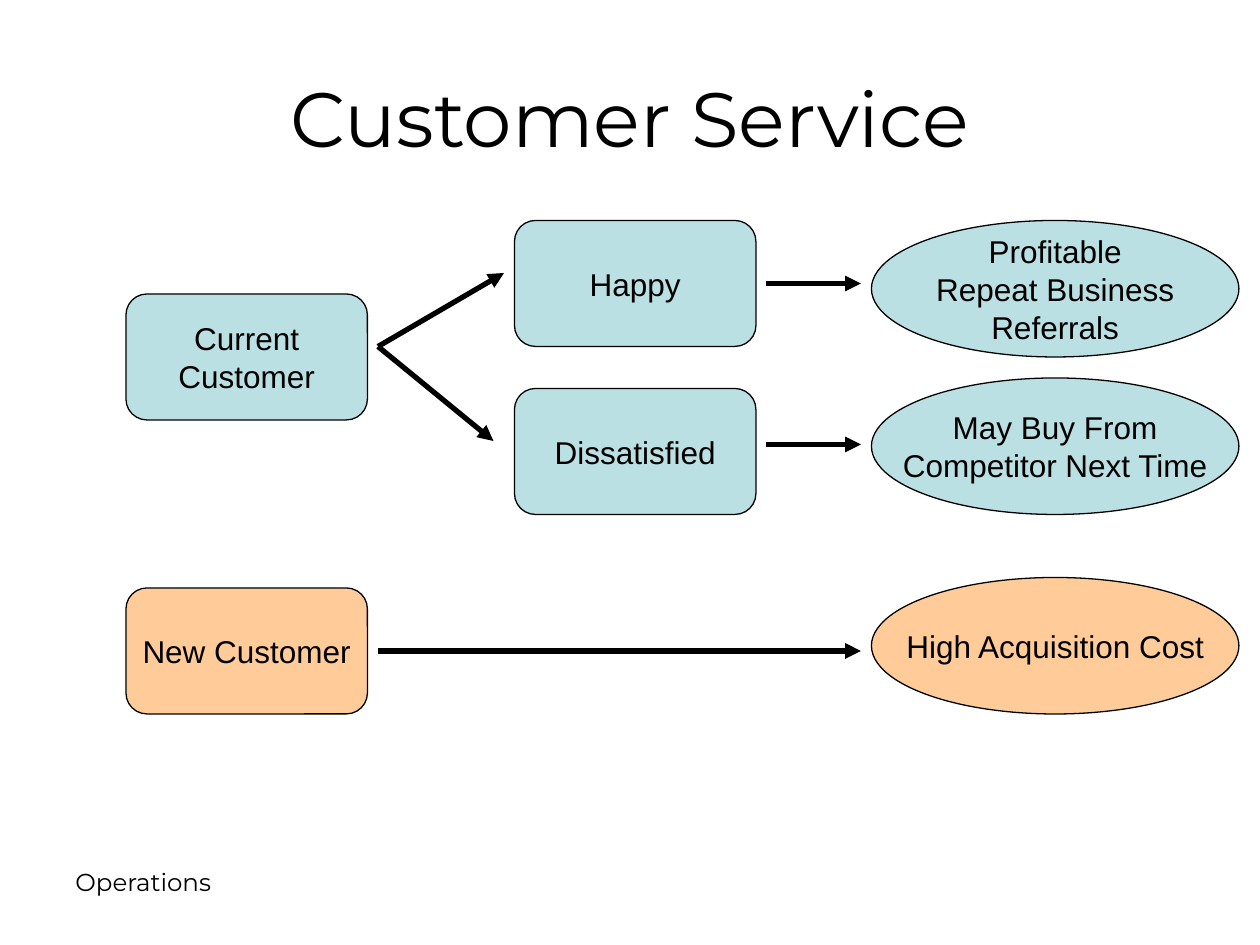
from pptx import Presentation
from pptx.dml.color import RGBColor
from pptx.enum.shapes import MSO_CONNECTOR, MSO_SHAPE
from pptx.enum.text import MSO_ANCHOR, PP_ALIGN
from pptx.oxml.ns import qn
from pptx.util import Pt
from lxml.etree import SubElement

BLACK, BLUE, ORANGE = "000000", "BBE0E3", "FFCC99"
BOX = (MSO_SHAPE.ROUNDED_RECTANGLE, 138, 72)
OVAL = (MSO_SHAPE.OVAL, 210, 78)
COL1, COL2, COL3 = 72, 294, 498
GAP = 6  # between a shape and its arrow

# kind, left, top, fill, lines
NODES = [
    (BOX, COL1, 168, BLUE, ["Current", "Customer"]),
    (BOX, COL1, 336, ORANGE, ["New Customer"]),
    (BOX, COL2, 222, BLUE, ["Dissatisfied"]),
    (BOX, COL2, 126, BLUE, ["Happy"]),
    (OVAL, COL3, 126, BLUE, ["Profitable", "Repeat Business", "Referrals"]),
    (OVAL, COL3, 216, BLUE, ["May Buy From", "Competitor Next Time"]),
    (OVAL, COL3, 330, ORANGE, ["High Acquisition Cost"]),
]
AFTER1, AFTER2 = (col + BOX[1] + GAP for col in (COL1, COL2))
BEFORE2, BEFORE3 = COL2 - GAP, COL3 - GAP
# x1, y1, x2, y2
ARROWS = [
    (AFTER1, 372, BEFORE3, 372),
    (AFTER2, 162, BEFORE3, 162),
    (AFTER2, 254, BEFORE3, 254),
    (AFTER1, 198, BEFORE2, 156),
    (AFTER1, 198, BEFORE2 - GAP, 252),
]


def rgb(value):
    return RGBColor.from_string(value)


def write(tf, lines, font, size, align):
    tf.text = "\n".join(lines)
    for p in tf.paragraphs:
        p.alignment = align
        p.font.name, p.font.size = font, Pt(size)
        p.font.color.rgb = rgb(BLACK)


def add_node(s, kind, left, top, fill, lines):
    shape, width, height = kind
    sp = s.shapes.add_shape(shape, Pt(left), Pt(top), Pt(width), Pt(height))
    sp.shadow.inherit = False
    sp.fill.solid()
    sp.fill.fore_color.rgb = rgb(fill)
    sp.line.color.rgb = rgb(BLACK)
    sp.line.width = Pt(0.75)
    tf = sp.text_frame
    tf.word_wrap = False
    tf.vertical_anchor = MSO_ANCHOR.MIDDLE
    write(tf, lines, "Arial", 18, PP_ALIGN.CENTER)


def add_arrow(s, *ends):
    line = s.shapes.add_connector(MSO_CONNECTOR.STRAIGHT, *map(Pt, ends))
    line.line.color.rgb = rgb(BLACK)
    line.line.width = Pt(3)
    sp_pr = line._element.spPr
    SubElement(sp_pr.find(qn("a:ln")), qn("a:tailEnd"), type="triangle")
    SubElement(sp_pr, qn("a:effectLst"))


prs = Presentation()
prs.slide_width, prs.slide_height = Pt(720), Pt(540)
s = prs.slides.add_slide(prs.slide_layouts[5])

title = s.shapes.title
title.left, title.top, title.width, title.height = map(Pt, (36, 21.6, 648, 90))
title.text_frame.vertical_anchor = MSO_ANCHOR.MIDDLE
write(title.text_frame, ["Customer Service"], "Montserrat", 44, PP_ALIGN.CENTER)

footer = s.shapes.add_textbox(Pt(36), Pt(492), Pt(168), Pt(37.5))
footer.text_frame.word_wrap = True
write(footer.text_frame, ["Operations"], "Montserrat", 14, PP_ALIGN.LEFT)

for node in NODES:
    add_node(s, *node)
for arrow in ARROWS:
    add_arrow(s, *arrow)

prs.save("out.pptx")
